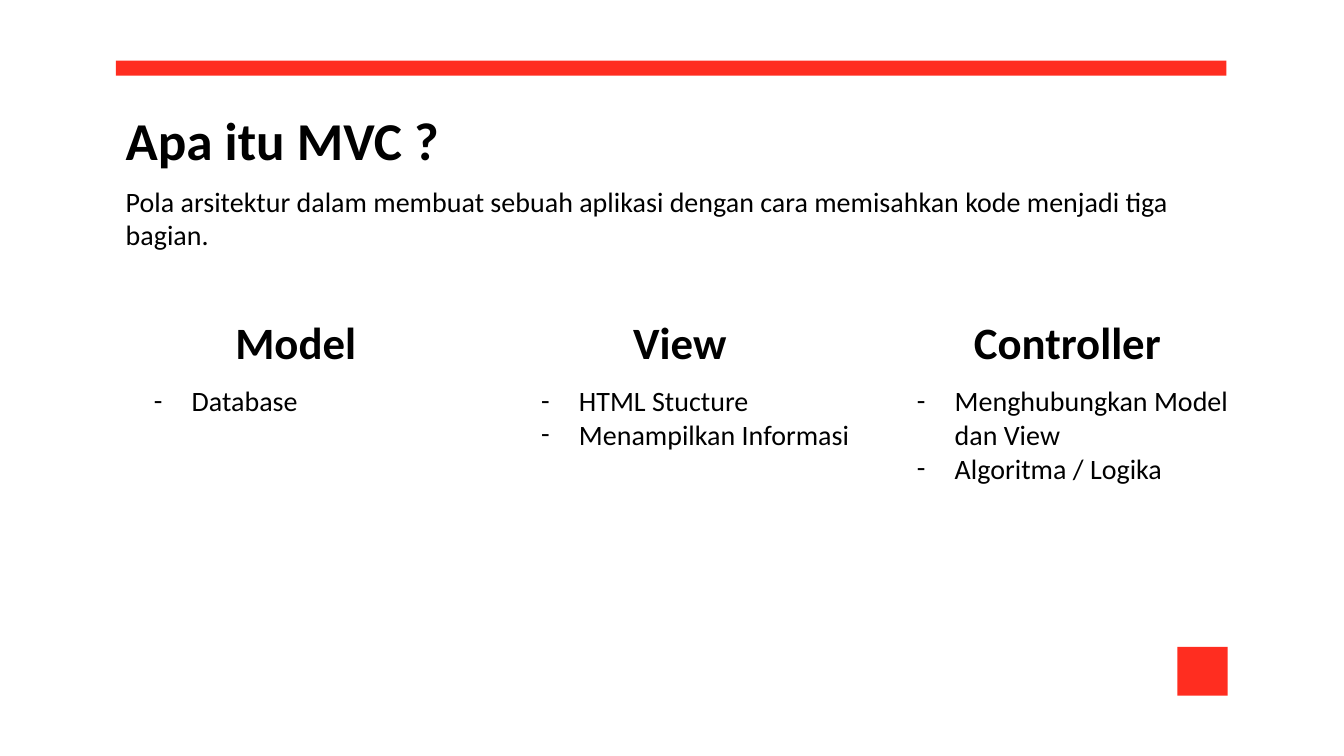
from dataclasses import dataclass

from lxml import etree
from pptx import Presentation
from pptx.dml.color import RGBColor
from pptx.enum.shapes import MSO_SHAPE
from pptx.enum.text import MSO_AUTO_SIZE, PP_ALIGN
from pptx.oxml.ns import qn
from pptx.slide import Slide
from pptx.util import Cm, Pt

RED = RGBColor(0xFF, 0x2D, 0x20)
BLACK = RGBColor(0, 0, 0)
FONT = "Calibri"
LEFT, WIDTH = 2.92, 27.99
HEADING_TOP, HEADING_HEIGHT = 7.8, 1.63
POINTS_TOP = 9.55
INDENT = 0.95


@dataclass(frozen=True)
class Box:
    left: float
    top: float
    width: float
    height: float


@dataclass(frozen=True)
class Part:
    heading: str
    heading_left: float
    heading_width: float
    points: tuple[str, ...]
    points_left: float
    points_width: float
    points_height: float


PARTS = (
    Part("Model", 2.92, 9.07, ("Database",), 3.63, 8.05, 1.12),
    Part("View", 12.83, 8.61, ("HTML Stucture", "Menampilkan Informasi"), 13.39, 8.61, 2.82),
    Part("Controller", 22.86, 8.08,
         ("Menghubungkan Model dan View", "Algoritma / Logika"), 22.86, 8.61, 2.82),
)
ACCENTS = (Box(LEFT, 1.53, WIDTH, 0.38), Box(29.67, 16.3, 1.27, 1.23))


def add_text(slide: Slide, box: Box, lines: tuple[str, ...], size: int, bold: bool = False,
             align: PP_ALIGN = PP_ALIGN.LEFT, dashed: bool = False) -> None:
    frame = slide.shapes.add_textbox(
        Cm(box.left), Cm(box.top), Cm(box.width), Cm(box.height)).text_frame
    frame.word_wrap = True
    frame.auto_size = MSO_AUTO_SIZE.SHAPE_TO_FIT_TEXT
    for index, line in enumerate(lines):
        paragraph = frame.paragraphs[0] if index == 0 else frame.add_paragraph()
        paragraph.alignment = align
        if dashed:
            properties = paragraph._p.get_or_add_pPr()
            properties.set("marL", str(Cm(INDENT)))
            properties.set("indent", str(-Cm(INDENT)))
            etree.SubElement(properties, qn("a:buFont")).set("typeface", FONT)
            etree.SubElement(properties, qn("a:buChar")).set("char", "-")
        run = paragraph.add_run()
        run.text = line
        run.font.name = FONT
        run.font.size = Pt(size)
        run.font.bold = bold
        run.font.color.rgb = BLACK


def add_accent(slide: Slide, box: Box) -> None:
    accent = slide.shapes.add_shape(
        MSO_SHAPE.RECTANGLE, Cm(box.left), Cm(box.top), Cm(box.width), Cm(box.height))
    accent.shadow.inherit = False
    accent.fill.solid()
    accent.fill.fore_color.rgb = RED
    accent.line.fill.background()


def add_part(slide: Slide, part: Part) -> None:
    add_text(slide, Box(part.heading_left, HEADING_TOP, part.heading_width, HEADING_HEIGHT),
             (part.heading,), 32, bold=True, align=PP_ALIGN.CENTER)
    add_text(slide, Box(part.points_left, POINTS_TOP, part.points_width, part.points_height),
             part.points, 20, dashed=True)


def main() -> None:
    deck = Presentation()
    deck.slide_width, deck.slide_height = Cm(33.87), Cm(19.05)
    slide = deck.slides.add_slide(deck.slide_layouts[6])
    add_text(slide, Box(LEFT, 2.57, WIDTH, 1.88), ("Apa itu MVC ?",), 38, bold=True)
    add_text(slide, Box(LEFT, 4.52, WIDTH, 1.96),
             ("Pola arsitektur dalam membuat sebuah aplikasi dengan cara memisahkan "
              "kode menjadi tiga bagian.",), 20)
    for part in PARTS:
        add_part(slide, part)
    for accent in ACCENTS:
        add_accent(slide, accent)
    deck.save("out.pptx")


if __name__ == "__main__":
    main()
